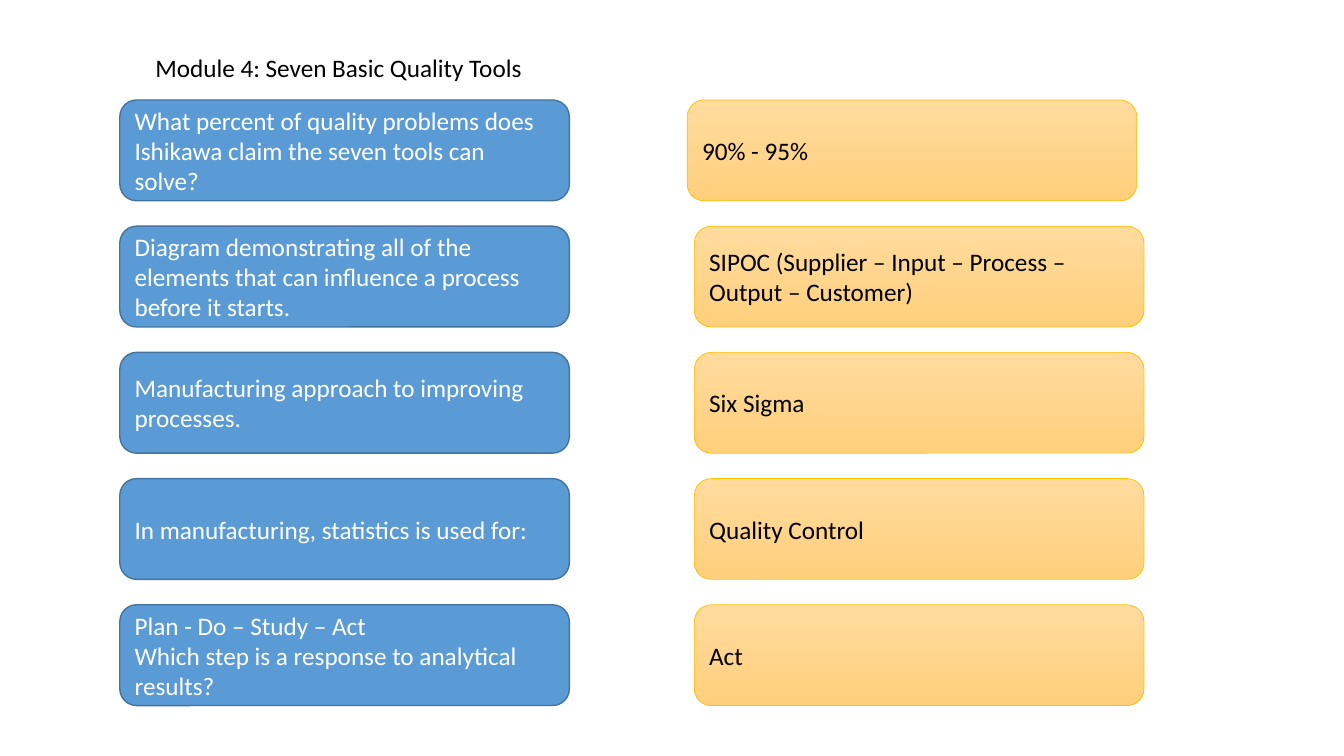
from pptx import Presentation
from pptx.dml.color import RGBColor
from pptx.enum.shapes import MSO_SHAPE as Preset
from pptx.enum.text import MSO_ANCHOR as Anchor, MSO_AUTO_SIZE as AutoSize, PP_ALIGN as Align
from pptx.util import Cm, Pt

TITLE = "Module 4: Seven Basic Quality Tools"
CARDS = [
    ("What percent of quality problems does Ishikawa claim the seven tools can solve?",
     "90% - 95%"),
    ("Diagram demonstrating all of the elements that can influence a process before it starts.",
     "SIPOC (Supplier – Input – Process – Output – Customer)"),
    ("Manufacturing approach to improving processes.", "Six Sigma"),
    ("In manufacturing, statistics is used for:", "Quality Control"),
    ("Plan - Do – Study – Act\nWhich step is a response to analytical results?", "Act"),
]

FONT = "Calibri"
SIZE = Pt(18)
WHITE = RGBColor(0xFF, 0xFF, 0xFF)
BLACK = RGBColor(0x00, 0x00, 0x00)
BLUE = RGBColor(0x5B, 0x9B, 0xD5)
BLUE_EDGE = RGBColor(0x43, 0x73, 0x9E)
GOLD_TOP = RGBColor(0xFF, 0xDB, 0x9E)
GOLD_BOTTOM = RGBColor(0xFF, 0xD0, 0x7C)
GOLD_EDGE = RGBColor(0xFF, 0xC0, 0x00)

QUESTION_LEFT = Cm(3.02)
ANSWER_LEFT = Cm(17.5)
FIRST_ANSWER_LEFT = Cm(17.32)
CARD_TOP = Cm(2.52)
CARD_PITCH = Cm(3.18)
CARD_WIDTH = Cm(11.33)
CARD_HEIGHT = Cm(2.54)


def write(frame, text, color):
    frame.text = text
    for para in frame.paragraphs:
        para.alignment = Align.LEFT
        para.font.name = FONT
        para.font.size = SIZE
        para.font.color.rgb = color


def add_card(page, left, top, text, color, edge, edge_width):
    card = page.shapes.add_shape(Preset.ROUNDED_RECTANGLE, left, top, CARD_WIDTH, CARD_HEIGHT)
    card.shadow.inherit = False
    card.line.color.rgb = edge
    card.line.width = edge_width
    card.text_frame.word_wrap = True
    card.text_frame.vertical_anchor = Anchor.MIDDLE
    write(card.text_frame, text, color)
    return card


def add_question(page, top, text):
    card = add_card(page, QUESTION_LEFT, top, text, WHITE, BLUE_EDGE, Pt(1))
    card.fill.solid()
    card.fill.fore_color.rgb = BLUE


def add_answer(page, left, top, text):
    card = add_card(page, left, top, text, BLACK, GOLD_EDGE, Pt(0.5))
    card.fill.gradient()
    card.fill.gradient_angle = 270
    for stop, color in zip(card.fill.gradient_stops, (GOLD_TOP, GOLD_BOTTOM)):
        stop.color.rgb = color


def add_title(page):
    title = page.shapes.title
    title.left, title.top, title.width, title.height = Cm(3.66), Cm(1.19), Cm(9.86), Cm(1.03)
    frame = title.text_frame
    frame.word_wrap = False
    frame.auto_size = AutoSize.NONE
    frame.vertical_anchor = Anchor.TOP
    write(frame, TITLE, BLACK)


def main():
    deck = Presentation()
    deck.slide_width, deck.slide_height = Cm(33.87), Cm(19.05)
    page = deck.slides.add_slide(deck.slide_layouts[5])
    add_title(page)
    for row, (question, answer) in enumerate(CARDS):
        top = CARD_TOP + row * CARD_PITCH
        add_question(page, top, question)
        add_answer(page, ANSWER_LEFT if row else FIRST_ANSWER_LEFT, top, answer)
    deck.save("out.pptx")


if __name__ == "__main__":
    main()
